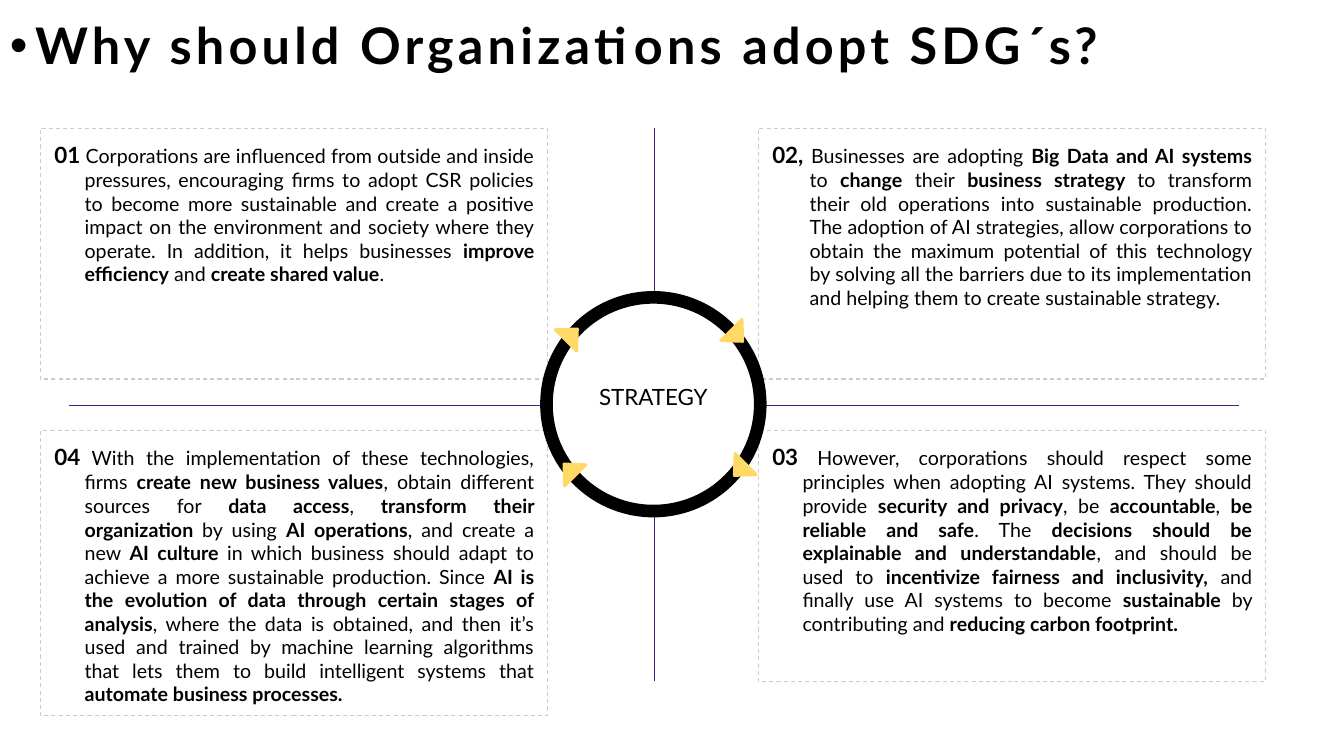
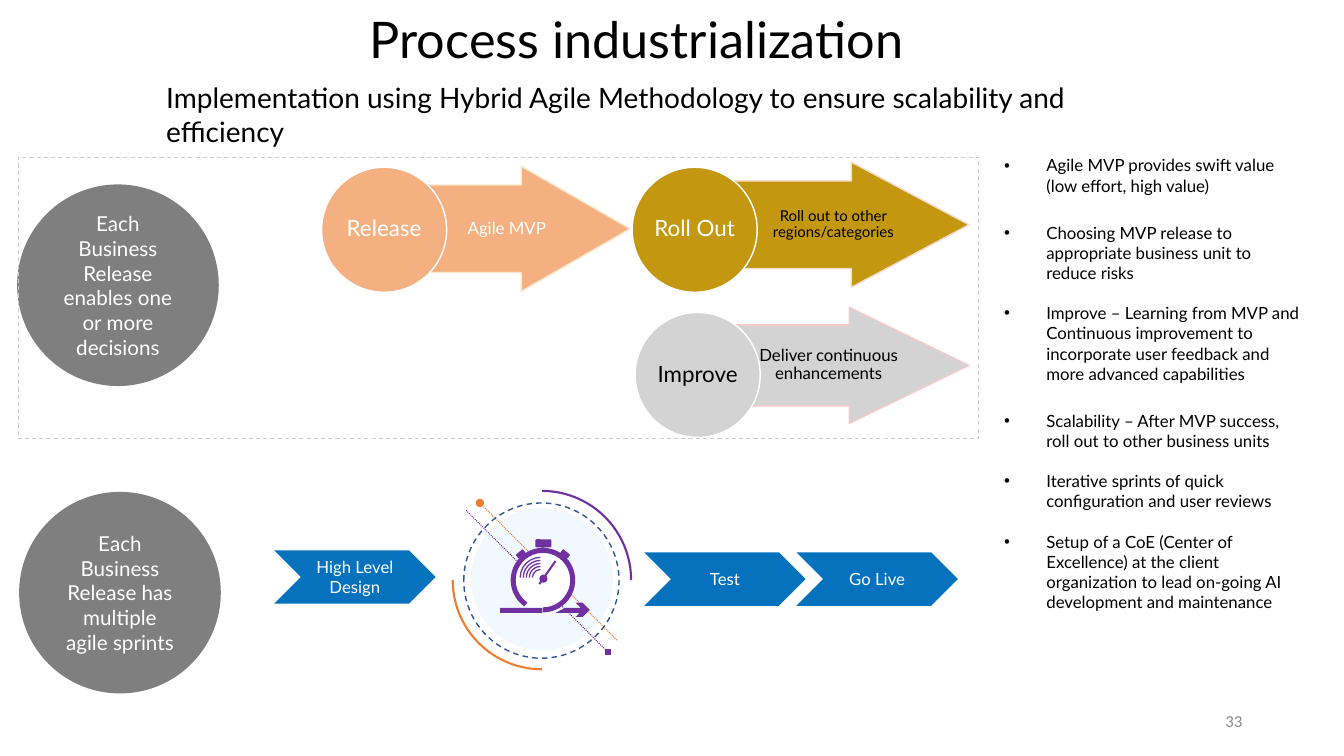
import pptx
import pptx.dml.color
import pptx.enum.dml
import pptx.enum.shapes
import pptx.enum.text
import pptx.oxml
import pptx.oxml.ns
import pptx.util
from lxml import etree

RGB = pptx.dml.color.RGBColor
SHAPE = pptx.enum.shapes.MSO_SHAPE
ALIGN = pptx.enum.text.PP_ALIGN
ANCHOR = pptx.enum.text.MSO_ANCHOR
DASH = pptx.enum.dml.MSO_LINE
Pt = pptx.util.Pt

PX = 9144  # EMU in one px, 100 px to the inch
FONT = "Lato"
BLACK, WHITE = RGB(0, 0, 0), RGB(255, 255, 255)
GRAY, PAGE_GRAY = RGB(0x7F, 0x7F, 0x7F), RGB(0x8C, 0x8C, 0x8C)
BORDER, SILVER = RGB(0xCC, 0xCC, 0xCC), RGB(0xD3, 0xD3, 0xD3)
INDIGO, PURPLE = RGB(0x4E, 0x1C, 0x85), RGB(0x70, 0x30, 0xA0)
YELLOW, GOLD = RGB(0xFF, 0xD9, 0x66), RGB(0xC3, 0x97, 0x0F)
PEACH, ORANGE = RGB(0xF4, 0xB0, 0x81), RGB(0xED, 0x7D, 0x31)
CREAM, BLUSH, PINK = RGB(0xF7, 0xE7, 0xCB), RGB(0xF6, 0xD8, 0xCA), RGB(0xF6, 0xCA, 0xCA)
BLUE, NAVY, SKY = RGB(0x06, 0x71, 0xBD), RGB(0x31, 0x53, 0x8F), RGB(0xC0, 0xE4, 0xFD)

# box, hanging indent, number, text with *bold* parts
REASONS = [
    ((40, 427, 503, 283), 30, "04",
     " With the implementation of these technologies, firms *create new business values*, "
     "obtain different sources for *data access*, *transform their organization *by using "
     "*AI operations*, and create a new *AI culture *in which business should adapt to achieve "
     "a more sustainable production. Since *AI is the evolution of data through certain stages "
     "of analysis*, where the data is obtained, and then it’s used and trained by machine "
     "learning algorithms that lets them to build intelligent systems that "
     "*automate business processes.*"),
    ((752, 427, 503, 249), 30, "03",
     " However, corporations should respect some principles when adopting AI systems. They "
     "should provide *security and privacy*, be *accountable*, *be reliable and safe*. The "
     "*decisions should be explainable and understandable*, and should be used to *incentivize "
     "fairness and inclusivity,* and finally use AI systems to become *sustainable *by "
     "contributing and *reducing carbon footprint.*"),
    ((40, 127, 503, 249), 30, "01",
     " Corporations are influenced from outside and inside pressures, encouraging firms to adopt "
     "CSR policies to become more sustainable and create a positive impact on the environment "
     "and society where they operate. In addition, it helps businesses *improve efficiency* and "
     "*create shared value*."),
    ((752, 127, 503, 249), 37, "02,",
     " Businesses are adopting *Big Data and AI systems *to *change* their *business strategy *"
     "to transform their old operations into sustainable production. The adoption of AI "
     "strategies, allow corporations to obtain the maximum potential of this technology by "
     "solving all the barriers due to its implementation and helping them to create sustainable "
     "strategy."),
]
AXES = [(649, 127, 649, 676), (68, 402, 1229, 402)]
CYCLE_MARKS = [(719, 458, 225), (550, 458, 315), (716, 325, 135), (552, 324, 45)]

# arrow box, head and shaft ratio, fill, border, label, size, colour; circle corner, label, colour
STAGES = [
    ((378, 165, 247, 124), 0.87, PEACH, CREAM, "Agile MVP", 12, WHITE,
     (319, 166), "Release", WHITE),
    ((696, 161, 265, 124), 0.94, GOLD, BLUSH, "Roll out to other\vregions/categories", 10.7, BLACK,
     (627, 166), "Roll Out", WHITE),
    ((688, 305, 273, 115), 1.03, SILVER, PINK, "Deliver continuous\venhancements", 12, BLACK,
     (630, 310), "Improve", BLACK),
]
RELEASE_NOTES = [
    ((17, 183), "Each Business Release enables one or more decisions"),
    ((19, 488), "Each Business Release has multiple agile sprints"),
]
SPRINT_STEPS = [((272, 546), "High Level Design"), ((639, 548), "Test"), ((790, 548), "Go Live")]
# space before in points, text
BENEFITS = [
    (0, "Agile MVP provides swift value (low effort, high value)"),
    (19.2, "Choosing MVP release to appropriate business unit to reduce risks"),
    (14.4, "Improve – Learning from MVP and Continuous improvement to incorporate user feedback "
           "and more advanced capabilities"),
    (19.2, "Scalability – After MVP success, roll out to other business units"),
    (14.4, "Iterative sprints of quick configuration and user reviews"),
    (14.4, "Setup of a CoE (Center of Excellence) at the client organization to lead on-going AI "
           "development and maintenance"),
]
STOPWATCH_PARTS = [
    (SHAPE.RECTANGLE, (496, 603, 42, 5), 0),
    (SHAPE.ROUNDED_RECTANGLE, (531, 535, 16, 8), 0),
    (SHAPE.RECTANGLE, (537, 543, 3, 2), 0),
    (SHAPE.ROUNDED_RECTANGLE, (556, 547, 9, 5), 39.2),
    (SHAPE.RECTANGLE, (557, 551, 2, 1), 39.2),
    (SHAPE.ROUNDED_RECTANGLE, (512, 547, 9, 5), 320.8),
    (SHAPE.RECTANGLE, (518, 551, 2, 1), 320.8),
    (SHAPE.OVAL, (535, 570, 8, 8), 0),
    (SHAPE.ROUNDED_RECTANGLE, (529, 567, 28, 2), 305),
]
SPRINT_ARROW = [(551, 608), (561, 603), (576, 603), (571, 598), (578, 598),
                (585, 605), (578, 612), (571, 612), (575, 608)]
# box, start and end angle in degrees, colour, line width
ICON_ARCS = [
    ((449, 487, 177, 177), 90, 180, ORANGE, 1.5),
    ((449, 487, 177, 177), 270, 0, PURPLE, 1.5),
    ((509, 546, 59, 59), 125, 90, PURPLE, 3.6),
] + [((536 - r, 573 - r, 2 * r, 2 * r), 180, 270, PURPLE, 0.9) for r in (8, 11, 14, 17, 20)]


def px(values):
    return [pptx.util.Emu(round(value * PX)) for value in values]


def set_outline(line, color, width, dash=None):
    if color is None:
        line.fill.background()
        return
    line.color.rgb = color
    line.width = Pt(width)
    if dash is not None:
        line.dash_style = dash


def style_shape(shape, fill=None, border=None, width=0.75, dash=None):
    shape.shadow.inherit = False
    if fill is None:
        shape.fill.background()
    else:
        shape.fill.solid()
        shape.fill.fore_color.rgb = fill
    set_outline(shape.line, border, width, dash)
    return shape


def add_shape(slide, kind, box, fill=None, border=None, width=0.75, dash=None, rotation=0,
              adjust=()):
    shape = slide.shapes.add_shape(kind, *px(box))
    shape.rotation = rotation
    for index, value in enumerate(adjust):
        shape.adjustments[index] = value
    return style_shape(shape, fill, border, width, dash)


def add_line(slide, ends, color, dash=None, marker=None):
    """Marker is an (end tag, arrowhead type) pair."""
    line = slide.shapes.add_connector(pptx.enum.shapes.MSO_CONNECTOR.STRAIGHT, *px(ends))
    set_outline(line.line, color, 0.75, dash)
    if marker:
        tag, kind = marker
        end = etree.SubElement(line.line._get_or_add_ln(), pptx.oxml.ns.qn(tag))
        end.set("type", kind)
    etree.SubElement(line._element.spPr, pptx.oxml.ns.qn("a:effectLst"))


def set_frame(shape, insets, anchor=ANCHOR.MIDDLE, wrap=True):
    frame = shape.text_frame
    frame.margin_left, frame.margin_top, frame.margin_right, frame.margin_bottom = px(insets)
    frame.vertical_anchor = anchor
    frame.word_wrap = wrap
    return frame


def set_font(font, size, color=BLACK, bold=False, name=FONT):
    font.name, font.size, font.bold = name, Pt(size), bold
    font.color.rgb = color


def label(shape, text, size, color, insets, spacing=None, wrap=True):
    paragraph = set_frame(shape, insets, wrap=wrap).paragraphs[0]
    paragraph.text = text
    paragraph.alignment = ALIGN.CENTER
    paragraph.line_spacing = spacing
    set_font(paragraph.font, size, color)


def hang(paragraph, margin, indent, bullet=False):
    properties = paragraph._p.get_or_add_pPr()
    properties.set("marL", str(margin * PX))
    properties.set("indent", str(-indent * PX))
    if bullet:
        font = etree.SubElement(properties, pptx.oxml.ns.qn("a:buFont"))
        font.set("typeface", "Arial")
        etree.SubElement(properties, pptx.oxml.ns.qn("a:buChar")).set("char", "•")


def add_text(slide, box, text, size, color=BLACK, name=FONT, wrap=True,
             anchor=ANCHOR.TOP, align=ALIGN.LEFT):
    text_box = slide.shapes.add_textbox(*px(box))
    paragraph = set_frame(text_box, (10, 5, 10, 5), anchor, wrap).paragraphs[0]
    paragraph.text = text
    paragraph.alignment = align
    set_font(paragraph.font, size, color, name=name)
    return paragraph


def add_reason(slide, box, indent, number, text):
    shape = add_shape(slide, SHAPE.RECTANGLE, box, border=BORDER, dash=DASH.DASH)
    paragraph = set_frame(shape, (13, 13, 13, 13), ANCHOR.TOP).paragraphs[0]
    paragraph.alignment = ALIGN.JUSTIFY
    hang(paragraph, indent + 1, indent)
    pieces = [(number, 16, True)]
    pieces += [(piece, 14, index % 2 == 1) for index, piece in enumerate(text.split("*"))]
    for piece, size, bold in pieces:
        if piece:
            run = paragraph.add_run()
            run.text = piece
            set_font(run.font, size, bold=bold)


def add_sprint_icon(slide):
    glow = add_shape(slide, SHAPE.OVAL, (467, 504, 141, 141), SKY)
    color = glow._element.spPr.find(".//" + pptx.oxml.ns.qn("a:srgbClr"))
    etree.SubElement(color, pptx.oxml.ns.qn("a:alpha")).set("val", "22000")
    add_line(slide, (603, 647, 462, 506), PURPLE, DASH.ROUND_DOT, ("a:headEnd", "diamond"))
    add_line(slide, (612, 635, 476, 499), ORANGE, DASH.ROUND_DOT, ("a:tailEnd", "oval"))
    add_shape(slide, SHAPE.OVAL, (460, 499, 154, 154), border=NAVY, width=1, dash=DASH.DASH)
    add_shape(slide, SHAPE.OVAL, (507, 545, 61, 61), WHITE)
    for box, start, end, color, width in ICON_ARCS:
        add_shape(slide, SHAPE.ARC, box, border=color, width=width,
                  adjust=(start * 0.6, end * 0.6))
    for kind, box, rotation in STOPWATCH_PARTS:
        add_shape(slide, kind, box, PURPLE, rotation=rotation)
    builder = slide.shapes.build_freeform(*SPRINT_ARROW[0], scale=PX)
    builder.add_line_segments(SPRINT_ARROW[1:], close=True)
    style_shape(builder.convert_to_shape(), PURPLE)


def build_strategy_slide(slide):
    for reason in REASONS:
        add_reason(slide, *reason)
    for ends in AXES:
        add_line(slide, ends, INDIGO)
    hub = add_shape(slide, SHAPE.OVAL, (542, 295, 212, 212), WHITE, BLACK, 9)
    label(hub, "STRATEGY", 16, BLACK, (0, 0, 0, 15))
    for left, top, rotation in CYCLE_MARKS:
        add_shape(slide, SHAPE.ISOSCELES_TRIANGLE, (left, top, 30, 16), YELLOW, YELLOW, 2,
                  rotation=rotation)
    title = add_text(slide, (0, 16, 1119, 81), "", 36, wrap=False)
    hang(title, 25, 25, bullet=True)
    title.line_spacing = 0.9
    run = title.add_run()
    run.text = "Why should Organizations adopt SDG´s?"
    set_font(run.font, 36, bold=True)
    run._r.get_or_add_rPr().set("spc", "300")


def build_process_slide(slide):
    add_text(slide, (942, 695, 300, 40), "33", 12, PAGE_GRAY, "Calibri",
             anchor=ANCHOR.MIDDLE, align=ALIGN.RIGHT)
    for box, head, fill, border, text, size, color, corner, name, name_color in STAGES:
        arrow = add_shape(slide, SHAPE.RIGHT_ARROW, box, fill, border, 1, adjust=(0.7, head))
        label(arrow, text, size, color, (78, 0, 0, 0), 0.9, wrap=False)
        circle = add_shape(slide, SHAPE.OVAL, (*corner, 124, 124), fill, WHITE, 1)
        label(circle, name, 16, name_color, (0, 0, 0, 0), 0.9, wrap=False)
    for corner, text in RELEASE_NOTES:
        circle = add_shape(slide, SHAPE.OVAL, (*corner, 200, 200), GRAY)
        label(circle, text, 14.7, WHITE, (13, 13, 13, 13))
    add_shape(slide, SHAPE.RECTANGLE, (18, 156, 953, 279), border=BORDER, dash=DASH.DASH)
    add_sprint_icon(slide)
    for corner, text in SPRINT_STEPS:
        step = add_shape(slide, SHAPE.CHEVRON, (*corner, 160, 53), BLUE, adjust=(0.5,))
        label(step, text, 12, WHITE, (10, 5, 10, 5))
    benefits = slide.shapes.add_textbox(*px((986, 149, 317, 498)))
    frame = set_frame(benefits, (10, 5, 10, 5), ANCHOR.TOP)
    for index, (space, text) in enumerate(BENEFITS):
        paragraph = frame.add_paragraph() if index else frame.paragraphs[0]
        paragraph.text = text
        if space:
            paragraph.space_before = Pt(space)
        hang(paragraph, 42, 42, bullet=True)
        set_font(paragraph.font, 12)
    add_text(slide, (357, 3, 620, 71), "Process industrialization", 36)
    add_text(slide, (155, 75, 1023, 44), "Implementation using Hybrid Agile Methodology to ensure "
             "scalability and efficiency", 20)


def main():
    presentation = pptx.Presentation()
    presentation.slide_width, presentation.slide_height = px((1333, 750))
    for build in (build_strategy_slide, build_process_slide):
        build(presentation.slides.add_slide(presentation.slide_layouts[6]))
    presentation.save("out.pptx")


if __name__ == "__main__":
    main()
